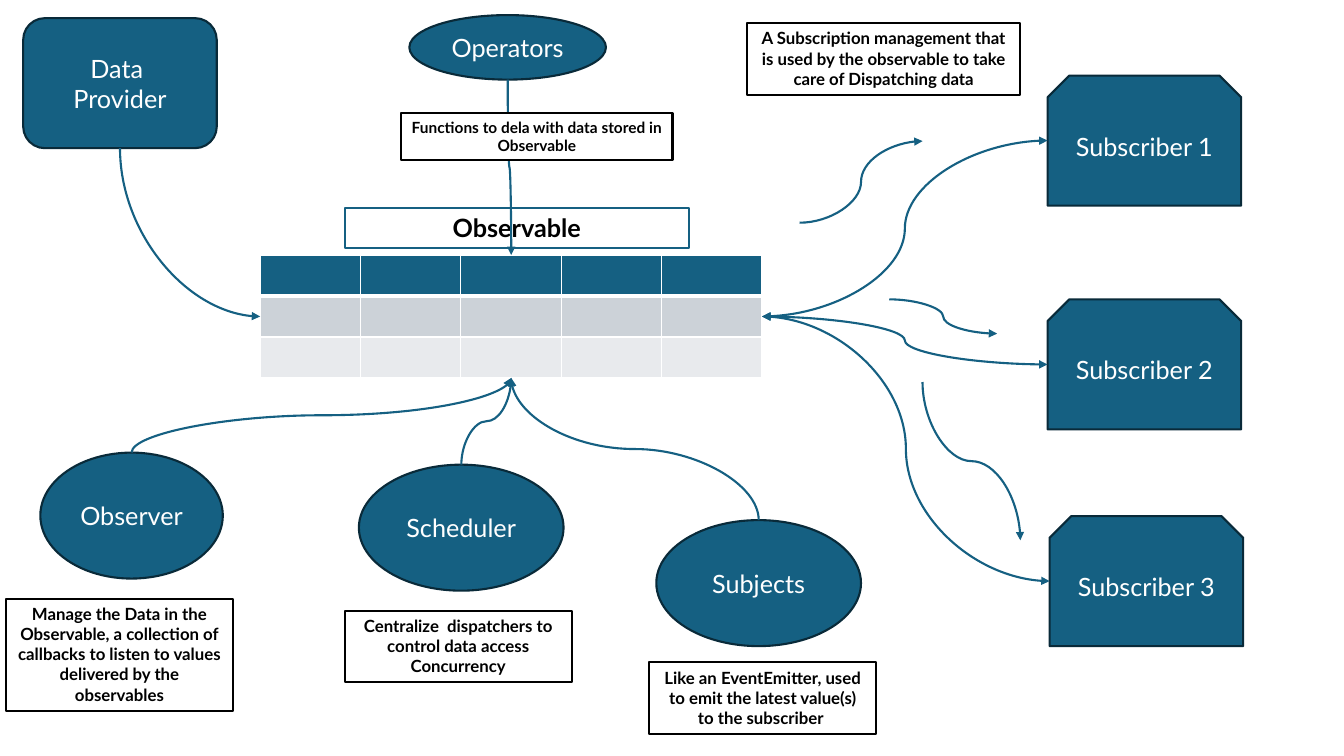
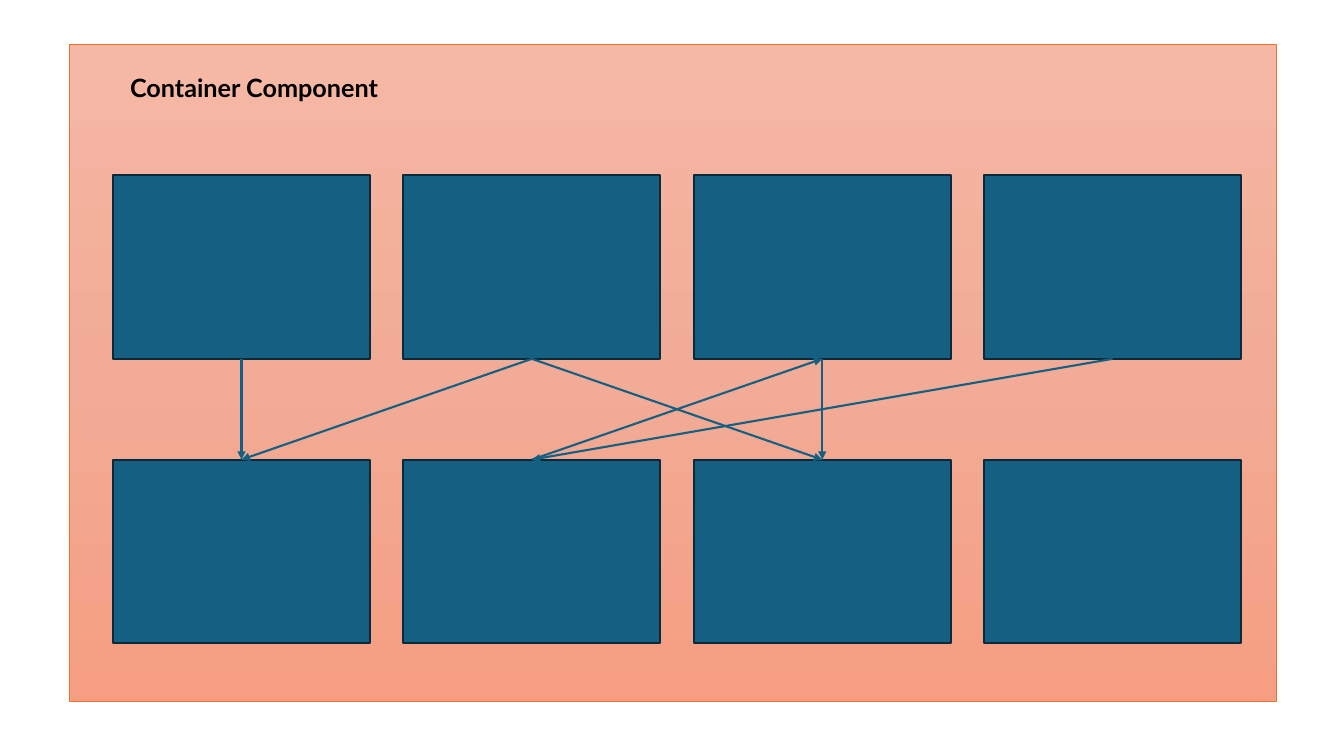
from copy import deepcopy
from lxml.etree import SubElement
from pptx import Presentation
from pptx.dml.color import RGBColor
from pptx.enum.shapes import MSO_CONNECTOR as LINK, MSO_SHAPE as FORM
from pptx.enum.text import MSO_ANCHOR as ANCHOR, MSO_AUTO_SIZE as AUTO, PP_ALIGN as ALIGN
from pptx.oxml.ns import qn
from pptx.util import Inches, Pt

HUES = {
    "blue": "156082", "navy": "092A39", "white": "FFFFFF", "black": "000000",
    "band": "CCD2D8", "pale": "E8EAED", "orange": "E97132",
    "top": "F5B8A5", "mid": "F2AB96", "low": "F59E82",
}
LOOKS = {
    "node": {"fill": "blue", "line": "navy", "ink": "white",
             "font": {"size": Pt(18), "bold": False},
             "frame": {"vertical_anchor": ANCHOR.MIDDLE}},
    "note": {"fill": "white", "line": "black", "ink": "black",
             "font": {"size": Pt(12), "bold": True},
             "frame": {"vertical_anchor": ANCHOR.TOP,
                       "auto_size": AUTO.SHAPE_TO_FIT_TEXT}},
}
LOOKS["brief"] = {**LOOKS["note"], "font": {"size": Pt(11), "bold": True}}
LOOKS["title"] = {**LOOKS["note"], "line": "blue",
                  "font": {"size": Pt(18), "bold": True}}
TOP, LEFT, BOTTOM, RIGHT = range(4)


def hue(name):
    return RGBColor.from_string(HUES[name])


def shift(box, x, y, *size):
    """Turn an offset inside a box into a slide position."""
    return (box[0] + x, box[1] + y, *size)


def side(box, place):
    """Give the middle of one side of a box."""
    x, y, w, h = box
    return {TOP: (x + w / 2, y), LEFT: (x, y + h / 2),
            BOTTOM: (x + w / 2, y + h), RIGHT: (x + w, y + h / 2)}[place]


def write(shape, text, look):
    frame = shape.text_frame
    frame.word_wrap = True
    for key, val in look["frame"].items():
        setattr(frame, key, val)
    frame.text = text
    for para in frame.paragraphs:
        para.alignment = ALIGN.CENTER
        for run in para.runs:
            run.font.name = "Lato"
            run.font.color.rgb = hue(look["ink"])
            for key, val in look["font"].items():
                setattr(run.font, key, val)


def draw(slide, box, form=FORM.RECTANGLE, text="", style="node"):
    look = LOOKS[style]
    shape = slide.shapes.add_shape(form, *map(Inches, box))
    shape.shadow.inherit = False
    shape.fill.solid()
    shape.fill.fore_color.rgb = hue(look["fill"])
    shape.line.color.rgb = hue(look["line"])
    shape.line.width = Pt(1.5)
    if text:
        write(shape, text, look)
    return shape


def link(slide, start, end, kind=LINK.STRAIGHT, both=False):
    wire = slide.shapes.add_connector(kind, *map(Inches, (*start, *end)))
    wire.line.color.rgb = hue("blue")
    wire.line.width = Pt(1.5)
    props = wire._element.spPr
    for tip in ("headEnd", "tailEnd") if both else ("tailEnd",):
        SubElement(props.find(qn("a:ln")), qn("a:" + tip), type="triangle")
    SubElement(props, qn("a:effectLst"))
    return wire


def curve(slide, start, end, both=False):
    """Draw a curve that leaves its start sideways."""
    return link(slide, start, end, LINK.CURVE, both)


def bend(slide, start, end, form="curvedConnector3"):
    """Draw a curve that leaves its start up or down, as a turned curve."""
    dx, dy = end[0] - start[0], end[1] - start[1]
    mx, my = start[0] + dx / 2, start[1] + dy / 2
    angle, w, h = (90, dy, -dx) if dx > 0 > dy else (270, -dy, dx)
    wire = curve(slide, (mx - w / 2, my - h / 2), (mx + w / 2, my + h / 2))
    props = wire._element.spPr
    props.find(qn("a:xfrm")).set("rot", str(angle * 60000))
    props.find(qn("a:prstGeom")).set("prst", form)


def edge(cell, tag, width):
    line = SubElement(cell._tc.get_or_add_tcPr(), qn("a:" + tag), w=str(Pt(width)))
    fill = SubElement(line, qn("a:solidFill"))
    SubElement(fill, qn("a:srgbClr"), val=HUES["white"])


def grid(slide, box):
    fills = ("blue", "band", "pale")
    table = slide.shapes.add_table(len(fills), 5, *map(Inches, box)).table
    for col in table.columns:
        col.width = Inches(box[2] / 5)
    for i, (row, fill) in enumerate(zip(table.rows, fills)):
        row.height = Inches(box[3] / len(fills))
        for cell in row.cells:
            for tag in ("lnL", "lnR", "lnT", "lnB"):
                thick = (i, tag) in ((0, "lnB"), (1, "lnT"))
                edge(cell, tag, 3 if thick else 1)
            cell.fill.solid()
            cell.fill.fore_color.rgb = hue(fill)


def hub(slide, box):
    grid(slide, box)
    draw(slide, shift(box, 0.84, -0.47, 3.41, 0.4), text="Observable", style="title")


def source(slide, box, port):
    draw(slide, box, FORM.ROUNDED_RECTANGLE, "Data \nProvider")
    bend(slide, side(box, BOTTOM), port, "curvedConnector2")


def readers(slide, box, port):
    """Place the subscribers, their links and the dispatch arrows."""
    for i, (x, y) in enumerate(((2.98, 0.52), (2.98, 2.74), (3, 4.89)), 1):
        spot = shift(box, x, y, 1.92, 1.29)
        draw(slide, spot, FORM.SNIP_2_SAME_RECTANGLE, f"Subscriber {i}")
        curve(slide, port, side(spot, LEFT), both=True)
    for make, start, end in (
        (curve, (0.52, 1.98), (1.74, 1.17)),
        (curve, (1.41, 2.74), (2.48, 3.08)),
        (bend, (1.74, 3.56), (2.71, 5.13)),
    ):
        make(slide, shift(box, *start), shift(box, *end))
    draw(slide, shift(box, 0, 0, 2.71, 0.71), style="note",
         text="A Subscription management that is used by the observable "
              "to take care of Dispatching data")


def parts(slide, box, port):
    """Place the three ovals below the table, each with its note."""
    for name, oval, label, text in (
        ("Observer", (0.34, 0, 1.81, 1.25), (0, 1.45, 2.25, 1.11),
         "Manage the Data in the Observable, a collection of callbacks "
         "to listen to values delivered by the observables"),
        ("Scheduler", (3.5, 0.12, 2.03, 1.25), (3.36, 1.57, 2.25, 0.71),
         "Centralize  dispatchers to control data access Concurrency"),
        ("Subjects", (6.45, 0.67, 2.03, 1.25), (6.38, 2.08, 2.25, 0.71),
         "Like an EventEmitter, used to emit the latest value(s) "
         "to the subscriber "),
    ):
        spot = shift(box, *oval)
        draw(slide, spot, FORM.OVAL, name)
        bend(slide, side(spot, TOP), port)
        draw(slide, shift(box, *label), text=text, style="note")


def tools(slide, box, port):
    """Place the operators oval, its link and its note."""
    oval = shift(box, 0.08, 0, 1.95, 0.64)
    draw(slide, oval, FORM.OVAL, "Operators")
    bend(slide, side(oval, BOTTOM), port)
    draw(slide, shift(box, 0, 0.97, 2.69, 0.47), style="brief",
         text="Functions to dela with data stored in Observable")


def flow(slide):
    table = (2.58, 2.53, 4.98, 1.22)
    hub(slide, table)
    source(slide, (0.23, 0.18, 1.92, 1.29), side(table, LEFT))
    readers(slide, (7.41, 0.23), side(table, RIGHT))
    parts(slide, (0.06, 4.49), side(table, BOTTOM))
    tools(slide, (3.98, 0.15), side(table, TOP))


def panel(slide, box):
    back = draw(slide, box)
    back.line.color.rgb = hue("orange")
    back.line.width = Pt(1)
    back.fill.gradient()
    back.fill.gradient_angle = 270
    stops = back._element.spPr.find(".//" + qn("a:gsLst"))
    stops.insert(1, deepcopy(stops[0]))
    shades = zip(back.fill.gradient_stops, (0, 0.5, 1), ("top", "mid", "low"))
    for stop, place, shade in shades:
        stop.position = place
        stop.color.rgb = hue(shade)
    spot = shift(box, 0.17, 0.23, 3.32, 0.4)
    label = slide.shapes.add_textbox(*map(Inches, spot))
    write(label, "Container Component", LOOKS["title"])


def tiles(slide, box):
    """Place two rows of four tiles and join them."""
    upper, lower = (
        [draw(slide, shift(box, col * 2.88, row * 2.82, 2.55, 1.82))
         for col in range(4)]
        for row in range(2)
    )
    pairs = [(upper[a], BOTTOM, lower[b], TOP)
             for a, b in ((1, 0), (0, 0), (3, 1), (1, 2), (2, 2))]
    pairs.append((lower[1], TOP, upper[2], BOTTOM))
    for start, out, end, into in pairs:
        wire = link(slide, (0, 0), (1, 1))
        wire.begin_connect(start, out)
        wire.end_connect(end, into)


def nest(slide):
    box = (0.69, 0.44, 11.97, 6.52)
    panel(slide, box)
    tiles(slide, shift(box, 0.43, 1.3))


def main():
    deck = Presentation()
    deck.slide_width, deck.slide_height = Inches(13.33), Inches(7.5)
    for build in (flow, nest):
        build(deck.slides.add_slide(deck.slide_layouts[6]))
    deck.save("out.pptx")


if __name__ == "__main__":
    main()
